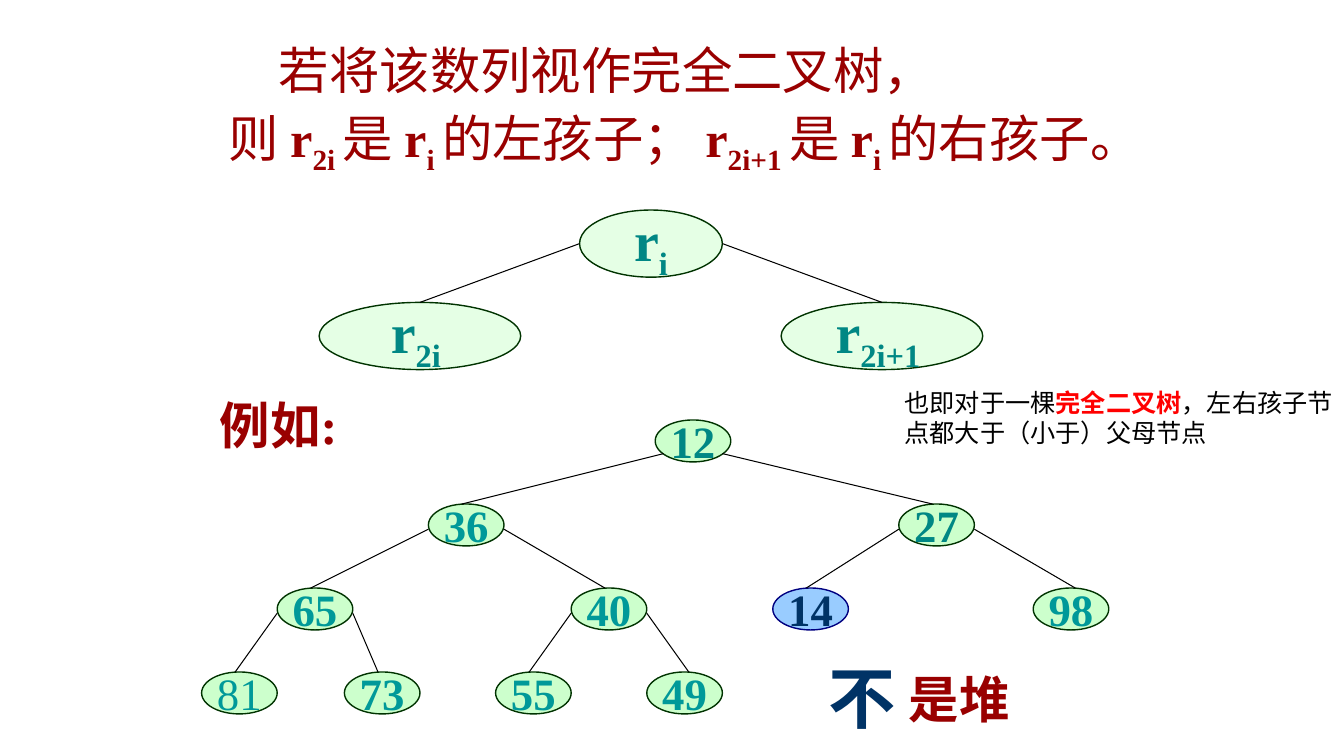
from lxml import etree
from pptx import Presentation
from pptx.dml.color import RGBColor
from pptx.enum.shapes import MSO_CONNECTOR, MSO_SHAPE
from pptx.enum.text import MSO_ANCHOR, MSO_AUTO_SIZE, PP_ALIGN
from pptx.oxml.ns import qn
from pptx.util import Emu, Pt

PX = 9525
TITLE_ONLY = 5
OVAL = MSO_SHAPE.OVAL
STRAIGHT = MSO_CONNECTOR.STRAIGHT
TOP, MIDDLE = MSO_ANCHOR.TOP, MSO_ANCHOR.MIDDLE
LEFT, CENTER = PP_ALIGN.LEFT, PP_ALIGN.CENTER
NO_FIT, GROW = MSO_AUTO_SIZE.NONE, MSO_AUTO_SIZE.SHAPE_TO_FIT_TEXT

SERIF, SANS = "Times New Roman", "Calibri"
BLACK = RGBColor(0x00, 0x00, 0x00)
RED = RGBColor(0xFF, 0x00, 0x00)
MAROON = RGBColor(0x99, 0x00, 0x00)
NAVY = RGBColor(0x00, 0x33, 0x66)
DARK_TEAL = RGBColor(0x00, 0x87, 0x84)
TEAL = RGBColor(0x00, 0x99, 0x99)
GREEN_FILL = RGBColor(0xCC, 0xFF, 0xCC)
GREEN_LINE = RGBColor(0x00, 0x33, 0x00)
BLUE_FILL = RGBColor(0x99, 0xCC, 0xFF)
BLUE_LINE = RGBColor(0x00, 0x00, 0x80)

NODE_W, NODE_H = 72, 40
TREE_TOP, LEVEL_STEP = 400, 80
# Level order: the children of node i are nodes 2i and 2i + 1
NODES = [("12", 624), ("36", 408), ("27", 856), ("65", 264), ("40", 544),
         ("14", 736), ("98", 984), ("81", 192), ("73", 328), ("55", 472),
         ("49", 616)]
DARK_NODES = ("12", "27")
ODD_NODE = "14"
PLAIN_NODE = "81"
OUTER_NODES = ("98", "49")


def px(*lengths):
    return [Emu(n * PX) for n in lengths]


def add_run(p, text, size, color, bold=False, font=SERIF, sub=False):
    r = p.add_run()
    r.text = text
    r.font.size = Pt(size)
    r.font.name = font
    r.font.bold = bold
    r.font.color.rgb = color
    if sub:
        r.font._element.set("baseline", "-25000")


def add_text(s, box, runs, wrap=False):
    """Add a text box; each run is the argument tuple of add_run."""
    tf = s.shapes.add_textbox(*px(*box)).text_frame
    tf.word_wrap = wrap
    tf.auto_size = GROW
    for run in runs:
        add_run(tf.paragraphs[0], *run)


def add_oval(s, box, fill=GREEN_FILL, line=GREEN_LINE, alpha=None):
    """Add an ellipse and return it with its centred paragraph."""
    sp = s.shapes.add_shape(OVAL, *px(*box))
    sp.shadow.inherit = False
    sp.fill.solid()
    sp.fill.fore_color.rgb = fill
    if alpha:
        color = sp.fill._xPr.find(qn("a:solidFill"))[0]
        etree.SubElement(color, qn("a:alpha")).set("val", str(alpha * 1000))
    sp.line.color.rgb = line
    sp.line.width = Pt(1)
    tf = sp.text_frame
    tf.word_wrap = False
    tf.vertical_anchor = MIDDLE
    p = tf.paragraphs[0]
    p.alignment = CENTER
    return sp, p


def add_edge(s, x1, y1, x2, y2):
    edge = s.shapes.add_connector(STRAIGHT, *px(x1, y1, x2, y2))
    edge.line.color.rgb = BLACK
    edge.line.width = Pt(0.75)
    etree.SubElement(edge._element.spPr, qn("a:effectLst"))
    return edge


def add_statement(s):
    title = s.shapes.title
    title.left, title.top, title.width, title.height = px(208, 32, 880, 139)
    tf = title.text_frame
    tf.word_wrap = True
    tf.auto_size = NO_FIT
    tf.vertical_anchor = TOP
    p = tf.paragraphs[0]
    p.alignment = LEFT
    p._p.get_or_add_pPr().set("indent", str(48 * PX))
    add_run(p, "若将该数列视作完全二叉树，", 36, MAROON)
    p = tf.add_paragraph()
    p.alignment = LEFT
    p.space_before = Pt(6)
    for before, index in (("则 ", "2i "), ("是 ", "i "),
                          ("的左孩子； ", "2i+1 "), ("是 ", "i ")):
        add_run(p, before, 36, MAROON)
        add_run(p, "r", 36, MAROON, True)
        add_run(p, index, 36, MAROON, True, sub=True)
    add_run(p, "的右孩子。", 36, MAROON)


def add_formula_tree(s):
    ovals = []
    for index, box in (("i", (552, 200, 136, 64)),
                       ("2i ", (304, 288, 192, 64)),
                       ("2i+1 ", (744, 288, 192, 64))):
        sp, p = add_oval(s, box, alpha=50)
        add_run(p, "r", 40, DARK_TEAL, True)
        add_run(p, index, 40, DARK_TEAL, True, sub=True)
        ovals.append(sp)
    for child, x1, x2 in ((ovals[1], 552, 400), (ovals[2], 688, 840)):
        add_edge(s, x1, 232, x2, 288).end_connect(child, 0)


def level_top(i):
    return TREE_TOP + LEVEL_STEP * (i.bit_length() - 1)


def add_number_tree(s):
    for i, (value, x) in enumerate(NODES, 1):
        fill, line, color = GREEN_FILL, GREEN_LINE, TEAL
        if value == ODD_NODE:
            fill, line, color = BLUE_FILL, BLUE_LINE, NAVY
        elif value in DARK_NODES:
            color = DARK_TEAL
        p = add_oval(s, (x, level_top(i), NODE_W, NODE_H), fill, line)[1]
        add_run(p, value, 32, color, value != PLAIN_NODE)
        if i == 1:
            continue
        parent = i // 2
        inset, drop = (8, 32) if parent == 1 else (0, 24)
        x1 = NODES[parent - 1][1] + (NODE_W - inset if i % 2 else inset)
        x2 = x + NODE_W // 2 + (4 if value in OUTER_NODES else -4)
        add_edge(s, x1, level_top(parent) + drop, x2, level_top(i))


def main():
    prs = Presentation()
    prs.slide_width, prs.slide_height = px(1280, 720)
    s = prs.slides.add_slide(prs.slide_layouts[TITLE_ONLY])
    add_statement(s)
    add_formula_tree(s)
    add_number_tree(s)
    add_text(s, (200, 371, 132, 67), [("例如:", 36, MAROON, True)])
    add_text(s, (856, 632, 115, 67), [("是堆", 36, MAROON, True)])
    add_text(s, (780, 620, 84, 86), [("不", 48, NAVY, True)])
    add_text(s, (852, 364, 428, 68), [
        ("也即对于一棵", 18, BLACK, False, SANS),
        ("完全二叉树", 18, RED, True, SANS),
        ("，左右孩子节点都大于（小于）父母节点", 18, BLACK, False, SANS),
    ], wrap=True)
    prs.save("out.pptx")


if __name__ == "__main__":
    main()
